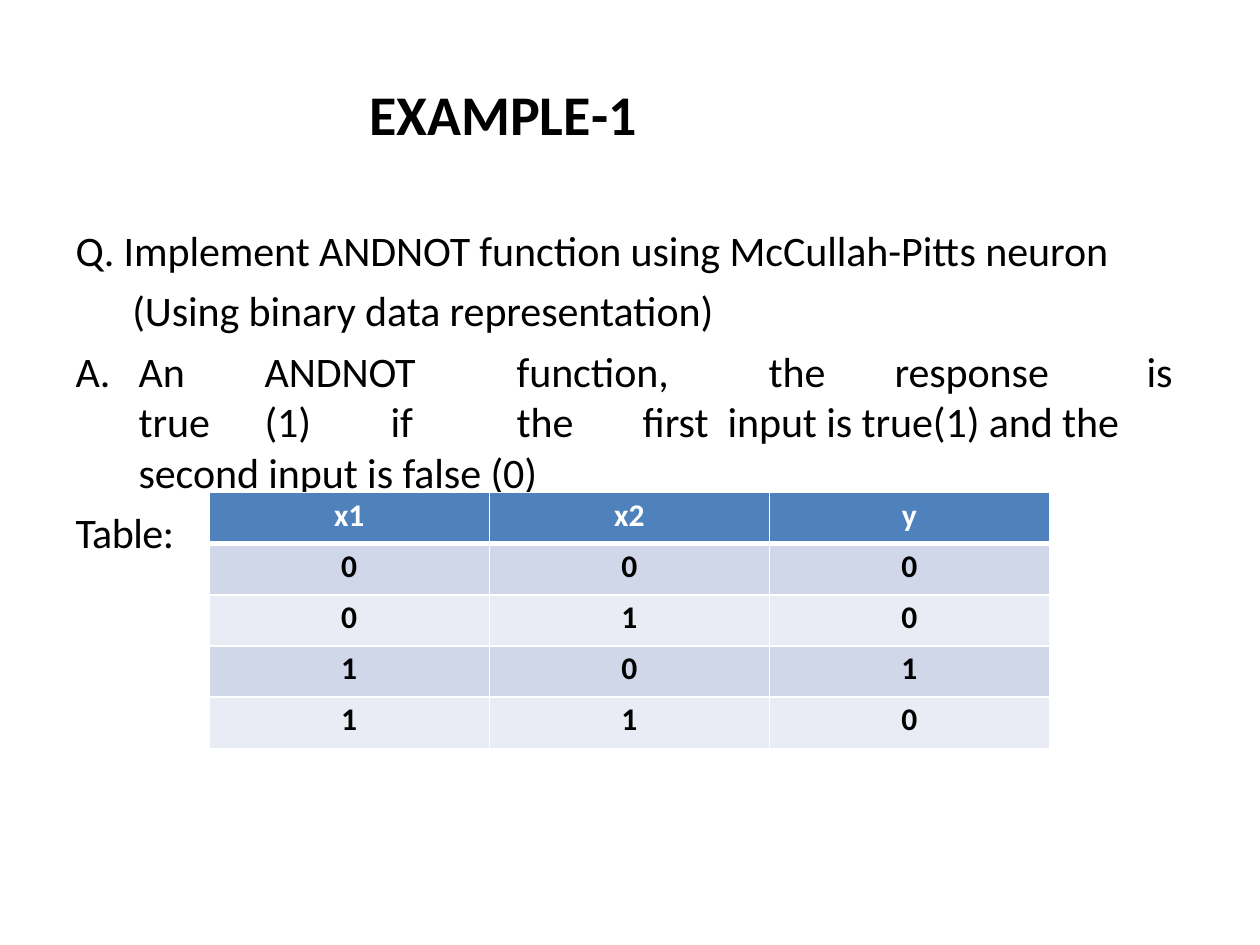
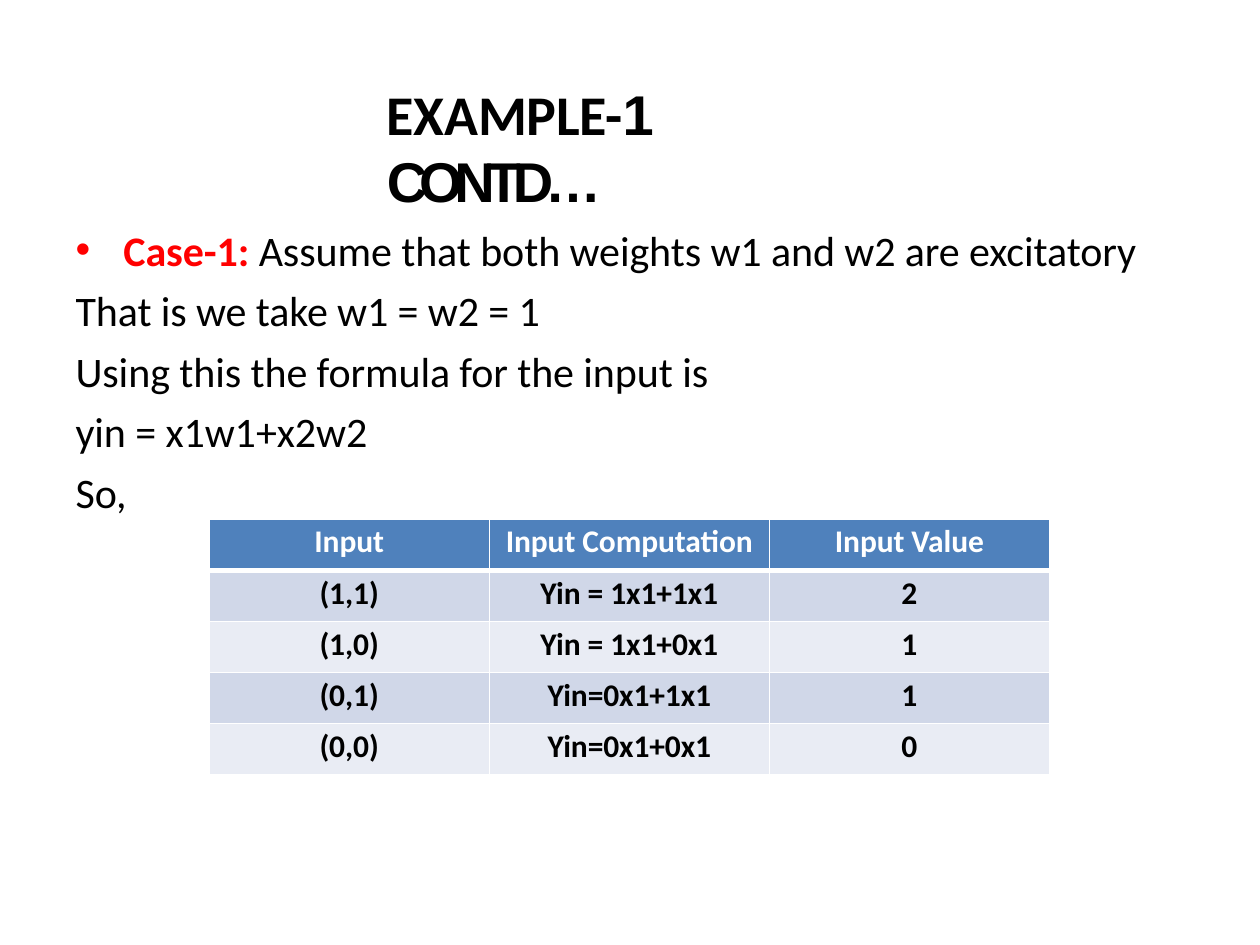
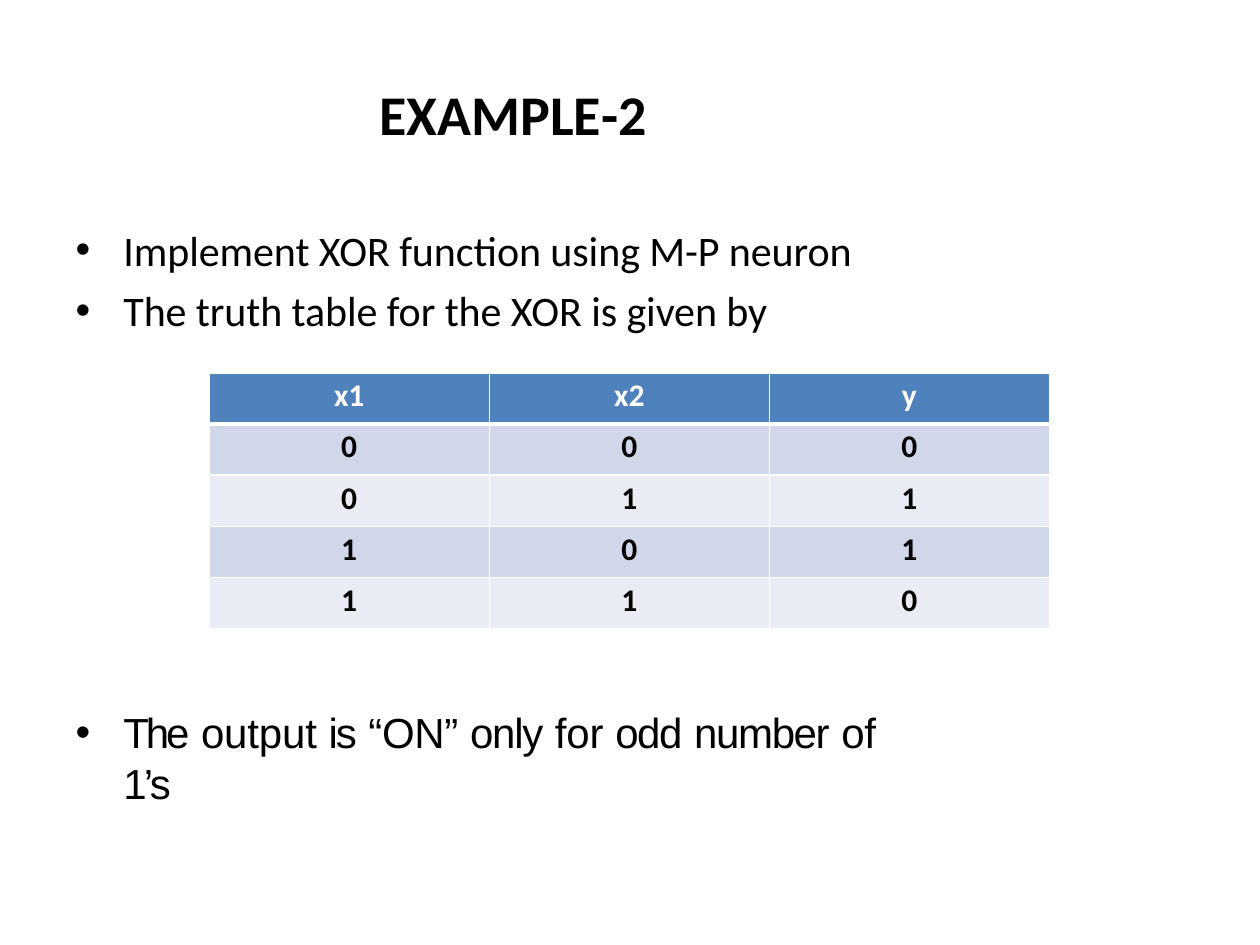
from dataclasses import dataclass

from lxml.etree import SubElement
from pptx import Presentation
from pptx.dml.color import RGBColor
from pptx.enum.text import MSO_ANCHOR, MSO_AUTO_SIZE, PP_ALIGN
from pptx.oxml.ns import qn
from pptx.util import Inches, Pt


@dataclass(frozen=True)
class Theme:
    font: str = "Calibri"
    plain_font: str = "Arial"
    ink: str = "000000"
    accent: str = "FF0000"
    white: str = "FFFFFF"
    header_fill: str = "4F81BC"
    band_fills: tuple = ("D0D7E8", "E9ECF4")
    title_size: int = 32
    body_size: int = 24
    table_size: int = 18
    paragraph_gap: float = 5.8
    thin_line: int = 1
    thick_line: int = 3
    tab_step: int = 1


THEME = Theme()


@dataclass(frozen=True)
class Span:
    text: str
    spacing: float = -0.05
    bold: bool = False
    color: str = THEME.ink
    font: str = THEME.font


@dataclass(frozen=True)
class Line:
    spans: list
    left: float = 0
    hang: float = 0
    bullet: bool = False


def plain(*spans, **layout):
    return Line([Span(span) if isinstance(span, str) else span for span in spans], **layout)


def bulleted(*spans):
    return Line(list(spans), left=0.38, hang=0.38, bullet=True)


class SlideBuilder:
    body_left = 0.6
    table_left = 1.66
    table_width = 6.67
    table_height = 2.03

    def __init__(self, deck, theme):
        self.deck = deck
        self.theme = theme
        self.slide = None
        self.set_default_tabs()

    def set_default_tabs(self):
        for root in (self.deck.element, self.deck.slide_master.element):
            for node in root.iter():
                if node.get("defTabSz"):
                    node.set("defTabSz", str(Inches(self.theme.tab_step)))

    def new_slide(self, title_spans, left, width):
        self.slide = self.deck.slides.add_slide(self.deck.slide_layouts[5])
        title = self.slide.shapes.title
        title.left, title.top = Inches(left), Inches(0.62)
        title.width, title.height = Inches(width), Inches(0.56)
        self.prepare_frame(title.text_frame, 0.01)
        para = title.text_frame.paragraphs[0]
        para.alignment = PP_ALIGN.LEFT
        self.write_spans(para, title_spans, self.theme.title_size)

    def prepare_frame(self, frame, top_inset):
        frame.word_wrap = True
        frame.auto_size = MSO_AUTO_SIZE.NONE
        frame.vertical_anchor = MSO_ANCHOR.TOP
        frame.margin_left = frame.margin_right = frame.margin_bottom = 0
        frame.margin_top = Inches(top_inset)

    def write_spans(self, para, spans, size):
        for span in spans:
            run = para.add_run()
            run.text = span.text
            run.font.name = span.font
            run.font.size = Pt(size)
            run.font.bold = span.bold
            run.font.color.rgb = RGBColor.from_string(span.color)
            run.font._element.set("spc", str(round(span.spacing * 100)))

    def body(self, lines, top, width, height, top_inset=0.1):
        box = self.slide.shapes.add_textbox(
            Inches(self.body_left), Inches(top), Inches(width), Inches(height))
        frame = box.text_frame
        self.prepare_frame(frame, top_inset)
        for index, line in enumerate(lines):
            para = frame.add_paragraph() if index else frame.paragraphs[0]
            if index:
                para.space_before = Pt(self.theme.paragraph_gap)
            properties = para._p.get_or_add_pPr()
            properties.set("marL", str(Inches(line.left)))
            properties.set("indent", str(-Inches(line.hang)))
            properties.set("defTabSz", str(Inches(self.theme.tab_step)))
            if line.bullet:
                SubElement(properties, qn("a:buFont")).set("typeface", self.theme.plain_font)
                SubElement(properties, qn("a:buChar")).set("char", "•")
            self.write_spans(para, line.spans, self.theme.body_size)

    def table(self, rows, top):
        frame = self.slide.shapes.add_table(
            len(rows), len(rows[0]), Inches(self.table_left), Inches(top),
            Inches(self.table_width), Inches(self.table_height))
        table = frame.table
        for row_index, values in enumerate(rows):
            for column_index, value in enumerate(values):
                self.fill_cell(table.cell(row_index, column_index), value, row_index)

    def fill_cell(self, cell, value, row_index):
        theme = self.theme
        header = row_index == 0
        cell.margin_left = cell.margin_right = cell.margin_bottom = 0
        cell.margin_top = Inches(0.03)
        para = cell.text_frame.paragraphs[0]
        para.alignment = PP_ALIGN.CENTER
        color = theme.white if header else theme.ink
        self.write_spans(para, [Span(value, bold=True, color=color)], theme.table_size)
        thick_side = {0: "lnB", 1: "lnT"}.get(row_index)
        for side in ("lnL", "lnR", "lnT", "lnB"):
            width = theme.thick_line if side == thick_side else theme.thin_line
            border = SubElement(cell._tc.get_or_add_tcPr(), qn(f"a:{side}"), w=str(Pt(width)))
            fill = SubElement(border, qn("a:solidFill"))
            SubElement(fill, qn("a:srgbClr"), val=theme.white)
        cell.fill.solid()
        fill_color = theme.header_fill if header else theme.band_fills[(row_index - 1) % 2]
        cell.fill.fore_color.rgb = RGBColor.from_string(fill_color)


def truth_table(outputs):
    inputs = [("0", "0"), ("0", "1"), ("1", "0"), ("1", "1")]
    return [("x1", "x2", "y")] + [(*pair, output) for pair, output in zip(inputs, outputs)]


def example_title(number):
    return [Span("EXAMPL", 0, True), Span("E", -0.2, True), Span(f"-{number}", 0, True)]


def build_andnot_question(builder):
    builder.new_slide(example_title(1), 2.93, 3.15)
    builder.body([
        plain("Q. Implement ANDNOT function using McCullah-Pitts neuron"),
        plain("(Using binary data representation)", left=0.45),
        plain("A.\tAn\tANDNOT\tfunction,\tthe\tresponse\tis\ttrue\t(1)\tif\tthe\tfirst",
              Span(" ", 5.4),
              "input is true(1) and the second input is false (0)", left=0.5, hang=0.5),
        plain(Span("Table:", -0.3)),
    ], 1.68, 8.82, 2.85)
    builder.table(truth_table("0010"), 3.91)


def build_andnot_case(builder):
    builder.new_slide([
        Span("EXAMPLE-", -0.2, True),
        Span("1 ", -0.2, True, font=THEME.plain_font),
        Span("CONTD…", -4.7, True, font=THEME.plain_font),
    ], 3.07, 3.8)
    builder.body([
        bulleted(Span("Case-1: ", bold=True, color=THEME.accent),
                 Span("Assume that both weights w1 and w2 are excitatory")),
        plain("That is we take w1 = w2 = 1"),
        plain("Using this the formula for the input is"),
        plain("yin = x1w1+x2w2"),
        plain("So,"),
    ], 1.68, 8.6, 2.85)
    builder.table([
        ("Input", "Input Computation", "Input Value"),
        ("(1,1)", "Yin = 1x1+1x1", "2"),
        ("(1,0)", "Yin = 1x1+0x1", "1"),
        ("(0,1)", "Yin=0x1+1x1", "1"),
        ("(0,0)", "Yin=0x1+0x1", "0"),
    ], 4.12)


def build_xor_question(builder):
    builder.new_slide(example_title(2), 3.01, 3.07)
    builder.body([
        bulleted(Span("Implement XOR function using M-P neuron")),
        bulleted(Span("The truth table for the XOR is given by")),
    ], 1.68, 6.3, 0.99)
    builder.table(truth_table("0110"), 2.96)
    words = [("The", -1.8), ("output", -0.1), ("is", -1.2), ("“ON”", -0.2), ("only", -0.7),
             ("for", -0.1), ("odd", -0.8), ("number", -0.8), ("of", -0.1), ("1’s", -1.6)]
    spans = []
    for word, spacing in words:
        if spans:
            spans.append(Span(" ", 0, font=THEME.plain_font))
        spans.append(Span(word, spacing, font=THEME.plain_font))
    builder.body([bulleted(*spans)], 5.61, 6.6, 0.8, top_inset=0)


def main():
    deck = Presentation()
    deck.slide_width, deck.slide_height = Inches(10), Inches(7.5)
    builder = SlideBuilder(deck, THEME)
    build_andnot_question(builder)
    build_andnot_case(builder)
    build_xor_question(builder)
    deck.save("out.pptx")


if __name__ == "__main__":
    main()
